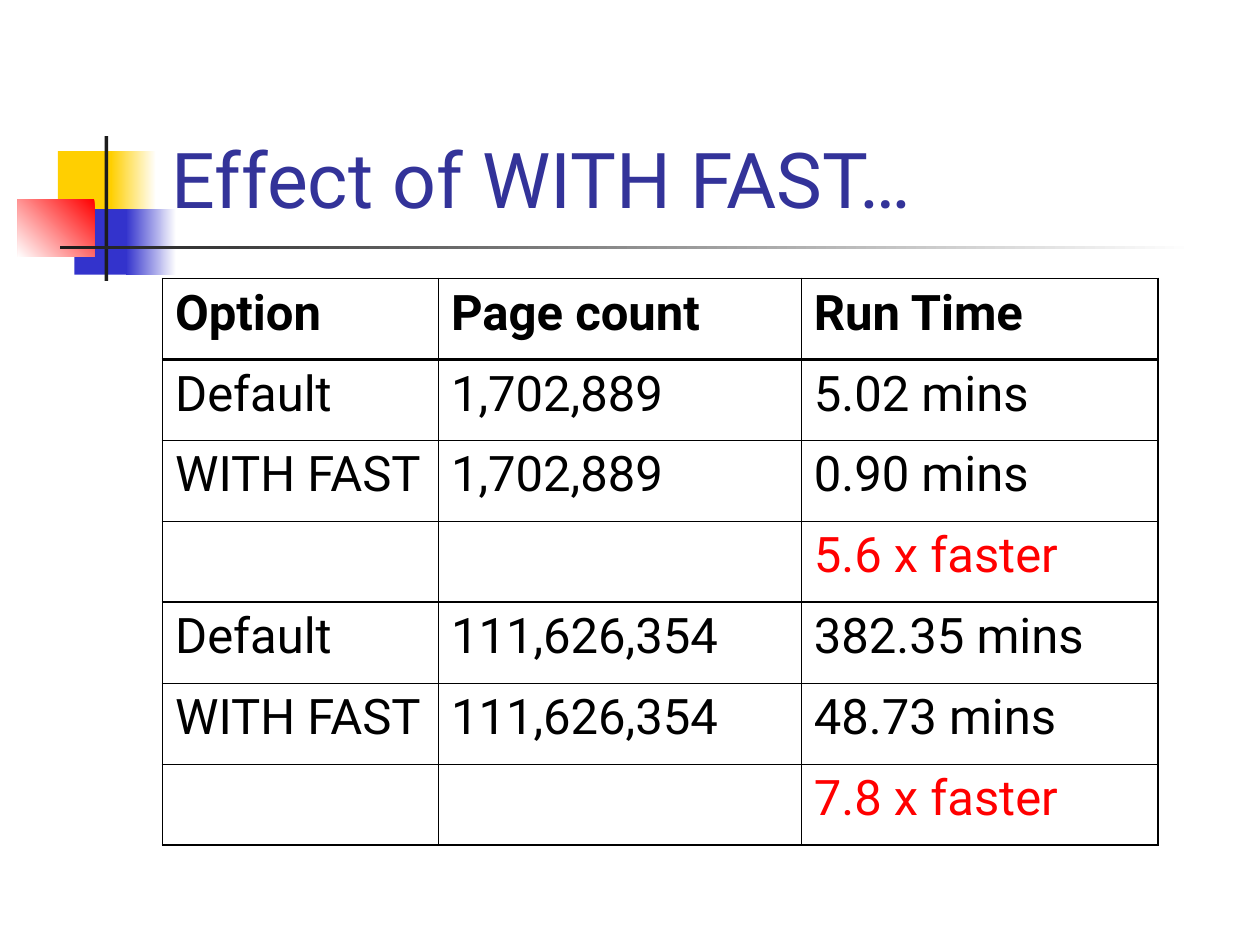
from dataclasses import dataclass

from lxml.etree import SubElement
from pptx import Presentation
from pptx.dml.color import RGBColor
from pptx.enum.shapes import MSO_SHAPE as Preset
from pptx.enum.text import MSO_ANCHOR as Anchor, MSO_AUTO_SIZE as AutoSize, PP_ALIGN as Align
from pptx.oxml.ns import qn
from pptx.util import Inches, Pt


@dataclass(frozen=True)
class Theme:
    font: str = "Roboto"
    title_size: float = 44
    cell_size: float = 28
    title: str = "333399"
    text: str = "000000"
    highlight: str = "FF0000"
    yellow: str = "FFCF01"
    blue: str = "3333CC"
    red: str = "FF0000"
    dark: str = "1C1C1C"
    white: str = "FFFFFF"
    outer_line: float = 1.08
    section_line: float = 1.47
    inner_line: float = 0.45


class SlideBuilder:
    """Holds the theme and the current slide, and adds styled elements."""

    def __init__(self, slide, theme):
        self.slide = slide
        self.theme = theme

    def add_run(self, paragraph, text, size, color, bold=False):
        run = paragraph.add_run()
        run.text = text
        run.font.name = self.theme.font
        run.font.size = Pt(size)
        run.font.bold = bold
        run.font.color.rgb = RGBColor.from_string(color)

    def set_title(self, text, left, top, width, height):
        title = self.slide.shapes.title
        title.left, title.top = Inches(left), Inches(top)
        title.width, title.height = Inches(width), Inches(height)
        frame = title.text_frame
        frame.auto_size = AutoSize.NONE
        frame.word_wrap = True
        frame.vertical_anchor = Anchor.BOTTOM
        paragraph = frame.paragraphs[0]
        paragraph.alignment = Align.LEFT
        self.add_run(paragraph, text, self.theme.title_size, self.theme.title)

    def add_block(self, left, top, width, height, colors, angle=180):
        shape = self.slide.shapes.add_shape(
            Preset.RECTANGLE, Inches(left), Inches(top), Inches(width), Inches(height))
        shape.shadow.inherit = False
        shape.line.fill.background()
        if len(colors) == 1:
            shape.fill.solid()
            shape.fill.fore_color.rgb = RGBColor.from_string(colors[0])
            return
        shape.fill.gradient()
        shape.fill.gradient_angle = angle
        for stop, color in zip(shape.fill.gradient_stops, colors):
            stop.color.rgb = RGBColor.from_string(color)

    def set_borders(self, cell, **widths):
        properties = cell._tc.get_or_add_tcPr()
        for side in "LRTB":
            line = SubElement(properties, qn(f"a:ln{side}"), w=str(Pt(widths[side])))
            fill = SubElement(line, qn("a:solidFill"))
            SubElement(fill, qn("a:srgbClr"), val=self.theme.text)

    def add_table(self, rows, left, top, column_widths, height, sections):
        theme = self.theme
        row_count, column_count = len(rows), len(column_widths)
        table = self.slide.shapes.add_table(
            row_count, column_count, Inches(left), Inches(top),
            Inches(sum(column_widths)), Inches(height)).table
        table.first_row = table.horz_banding = False
        for column, width in zip(table.columns, column_widths):
            column.width = Inches(width)
        row_lines = [theme.section_line if edge in sections else theme.inner_line
                     for edge in range(row_count + 1)]
        row_lines[0] = row_lines[-1] = theme.outer_line
        column_lines = [theme.outer_line, *[theme.inner_line] * (column_count - 1), theme.outer_line]
        for row_index, row in enumerate(rows):
            for column_index, text in enumerate(row):
                cell = table.cell(row_index, column_index)
                self.set_borders(
                    cell, L=column_lines[column_index], R=column_lines[column_index + 1],
                    T=row_lines[row_index], B=row_lines[row_index + 1])
                cell.fill.background()
                if text:
                    color = theme.highlight if text.endswith("faster") else theme.text
                    self.add_run(cell.text_frame.paragraphs[0], text,
                                 theme.cell_size, color, bold=row_index == 0)


def main():
    presentation = Presentation()
    presentation.slide_width, presentation.slide_height = Inches(10), Inches(7.5)
    theme = Theme()
    slide = presentation.slides.add_slide(presentation.slide_layouts[5])
    builder = SlideBuilder(slide, theme)

    builder.add_block(0.46, 1.2, 0.48, 0.52, [theme.yellow])
    builder.add_block(0.88, 1.2, 0.36, 0.52, [theme.white, theme.yellow])
    builder.add_block(0.59, 1.66, 0.46, 0.52, [theme.blue])
    builder.add_block(1, 1.66, 0.4, 0.52, [theme.white, theme.blue])
    builder.add_block(0.14, 1.58, 0.61, 0.46, [theme.red, theme.white], angle=225)
    builder.add_block(0.83, 1.08, 0.03, 1.15, [theme.dark])
    builder.add_block(0.48, 1.95, 9, 0.03, [theme.white, theme.dark])

    builder.set_title("Effect of WITH FAST…", 1.26, 0.23, 8.52, 1.6)
    rows = [
        ("Option", "Page count", "Run Time"),
        ("Default", "1,702,889", "5.02 mins"),
        ("WITH FAST", "1,702,889", "0.90 mins"),
        ("", "", "5.6 x faster"),
        ("Default", "111,626,354", "382.35 mins"),
        ("WITH FAST", "111,626,354", "48.73 mins"),
        ("", "", "7.8 x faster"),
    ]
    builder.add_table(rows, 1.29, 2.21, [2.19, 2.88, 2.83], 4.5, sections={1, 4})
    presentation.save("out.pptx")


if __name__ == "__main__":
    main()
